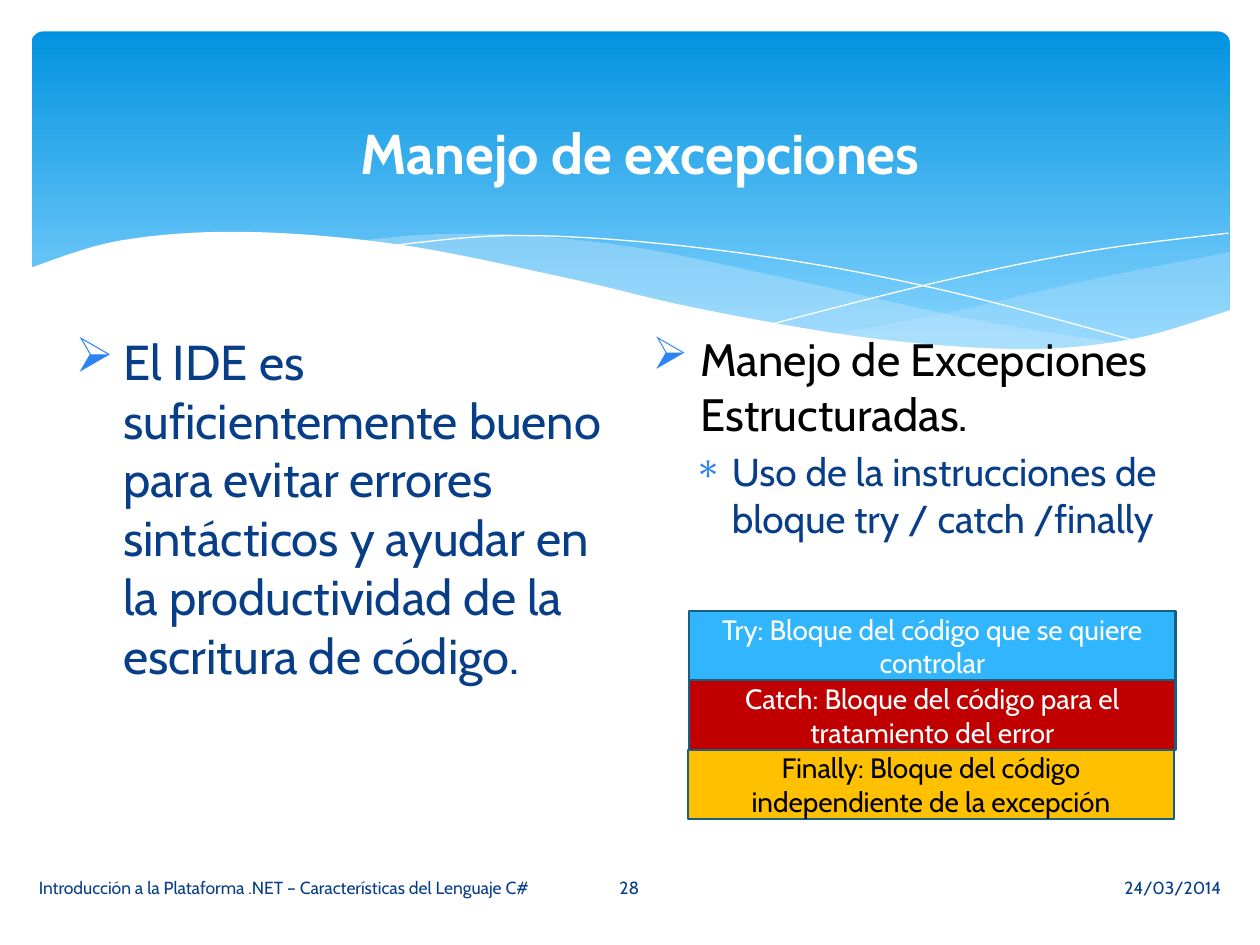
"""Build the slide on structured exception handling."""
from dataclasses import dataclass
from typing import Optional

import lxml.etree
import pptx
import pptx.dml.color
import pptx.enum.shapes
import pptx.enum.text
import pptx.oxml.ns
import pptx.util

Inches = pptx.util.Inches
Pt = pptx.util.Pt
Align = pptx.enum.text.PP_ALIGN
Anchor = pptx.enum.text.MSO_ANCHOR
Preset = pptx.enum.shapes.MSO_SHAPE
Points = list[tuple[float, float]]

FONT = "Cabin"
COLORS = {
    "sky_top": "0293E0", "sky_bottom": "83D3FE", "mist": "C6E7FC",
    "white": "FFFFFF", "black": "000000", "navy": "073E87",
    "bullet": "2D83F4", "edge": "195F84",
    "try": "31B6FD", "catch": "C00000", "finally": "FFC000",
}
CURVE_STEPS = 8


@dataclass
class Wave:
    edges: list[Points]
    fill: Optional[str] = None
    opacity: int = 100


@dataclass
class Bullet:
    text: str
    size: float
    color: str
    mark: str = "➢"
    margin: float = 0.38
    hang: float = 0.38


@dataclass
class Block:
    text: str
    left: float
    fill: str
    color: str


@dataclass
class Footer:
    text: str
    left: float
    width: float
    align: Align


WAVES = [
    Wave([[(9.76, 2), (8.61, 2.23), (7.53, 2.48), (6.61, 2.65)],
          [(6.61, 2.65), (7.45, 2.75), (8.14, 2.78), (8.89, 2.72), (9.76, 2.47)]],
         "mist", 29),
    Wave([[(8.93, 2.73), (7.75, 2.54), (6.29, 2.22), (5.14, 1.98), (4.2, 1.87),
           (3.44, 1.86), (2.86, 1.91)],
          [(2.86, 1.91), (4.49, 2.22), (6.34, 2.61), (7.85, 2.78), (8.93, 2.73)]],
         "mist", 40),
    Wave([[(3.09, 1.95), (4.01, 1.87), (5.1, 1.92), (6.36, 2.08), (7.6, 2.33),
           (9.07, 2.72)]]),
    Wave([[(6.13, 2.57), (7.48, 2.23), (8.66, 1.99), (9.75, 1.85)]]),
    Wave([[(9.77, 2.46), (8.99, 2.69), (8.09, 2.77), (6.88, 2.68), (5.55, 2.45),
           (4.47, 2.2), (3.16, 1.94), (1.93, 1.84), (0.95, 1.91), (0.23, 2.13)],
          [(0.23, 3.29), (9.77, 3.29)]], "white"),
]
IDE_BULLETS = [
    Bullet("El IDE es suficientemente bueno para evitar errores sintácticos y "
           "ayudar en la productividad de la escritura de código.", 28, "navy"),
]
HANDLING_BULLETS = [
    Bullet("Manejo de Excepciones Estructuradas.", 25.9, "black"),
    Bullet("Uso de la instrucciones de bloque try / catch /finally", 22.2, "navy",
           "∗", 0.63, 0.3),
]
BLOCKS = [
    Block("Try: Bloque del código que se quiere controlar", 5.47, "try", "white"),
    Block("Catch: Bloque del código para el tratamiento del error", 5.47, "catch", "white"),
    Block("Finally: Bloque del código independiente de la excepción", 5.46, "finally", "black"),
]
BLOCK_TOP, BLOCK_HEIGHT = 4.85, 0.55
FOOTERS = [
    Footer("Introducción a la Plataforma .NET – Características del Lenguaje C#",
           0.21, 4.14, Align.LEFT),
    Footer("28", 4.36, 1.27, Align.CENTER),
    Footer("24/03/2014", 5.65, 4.14, Align.RIGHT),
]


def rgb(name: str) -> pptx.dml.color.RGBColor:
    """Return the named colour."""
    return pptx.dml.color.RGBColor.from_string(COLORS[name])


def add_xml(parent, tag: str, **attributes: str):
    """Append a DrawingML child element."""
    return lxml.etree.SubElement(parent, pptx.oxml.ns.qn(tag), attributes)


def style_paragraph(paragraph, size: float, color: str, align: Align, bold: bool = False) -> None:
    """Align a paragraph and format its runs."""
    paragraph.alignment = align
    for run in paragraph.runs:
        run.font.name = FONT
        run.font.size = Pt(size)
        run.font.bold = bold
        run.font.color.rgb = rgb(color)


def write_line(shape, text: str, size: float, color: str, align: Align, bold: bool = False) -> None:
    """Put one vertically centred paragraph in a shape."""
    frame = shape.text_frame
    frame.text = text
    frame.word_wrap = True
    frame.auto_size = pptx.enum.text.MSO_AUTO_SIZE.NONE
    frame.vertical_anchor = Anchor.MIDDLE
    style_paragraph(frame.paragraphs[0], size, color, align, bold)


def add_sky(slide) -> None:
    """Draw the rounded gradient header."""
    sky = slide.shapes.add_shape(Preset.ROUNDED_RECTANGLE, Inches(0.25), Inches(0.25),
                                 Inches(9.51), Inches(2.7))
    sky.adjustments[0] = 0.034
    sky.shadow.inherit = False
    sky.line.fill.background()
    sky.fill.gradient()
    sky.fill.gradient_angle = 270
    for stop, color, position in zip(sky.fill.gradient_stops, ("sky_top", "sky_bottom"), (0, 0.9)):
        stop.color.rgb = rgb(color)
        stop.position = position


def spline(a: float, b: float, c: float, d: float, t: float) -> float:
    """Return the Catmull-Rom value between b and c."""
    return b + t / 2 * (c - a + t * (2 * a - 5 * b + 4 * c - d + t * (3 * (b - c) + d - a)))


def smooth(knots: Points) -> Points:
    """Return points along a smooth curve through the knots."""
    padded = [knots[0], *knots, knots[-1]]
    curve = [tuple(spline(*axis, step / CURVE_STEPS) for axis in zip(*window))
             for window in zip(padded, padded[1:], padded[2:], padded[3:])
             for step in range(CURVE_STEPS)]
    return [*curve, knots[-1]]


def add_wave(slide, wave: Wave) -> None:
    """Draw a filled wave, or a thin white curve when it has no fill."""
    outline = [(Inches(x), Inches(y)) for edge in wave.edges for x, y in smooth(edge)]
    builder = slide.shapes.build_freeform(*outline[0])
    builder.add_line_segments(outline[1:], close=wave.fill is not None)
    shape = builder.convert_to_shape()
    shape.shadow.inherit = False
    if wave.fill is None:
        shape.fill.background()
        shape.line.color.rgb = rgb("white")
        shape.line.width = Pt(0)
        return
    shape.line.fill.background()
    shape.fill.solid()
    shape.fill.fore_color.rgb = rgb(wave.fill)
    if wave.opacity < 100:
        color = shape.element.spPr.find(".//" + pptx.oxml.ns.qn("a:srgbClr"))
        add_xml(color, "a:alpha", val=str(wave.opacity * 1000))


def add_bullets(slide, left: float, height: float, bullets: list[Bullet]) -> None:
    """Add a column of bulleted paragraphs."""
    frame = slide.shapes.add_textbox(Inches(left), Inches(2.58), Inches(4.42),
                                     Inches(height)).text_frame
    frame.word_wrap = True
    frame.text = "\n".join(bullet.text for bullet in bullets)
    for level, (paragraph, bullet) in enumerate(zip(frame.paragraphs, bullets)):
        paragraph.level = level
        paragraph.space_before = Pt(round(bullet.size * 0.2, 1))
        style_paragraph(paragraph, bullet.size, bullet.color, Align.LEFT)
        properties = paragraph._p.get_or_add_pPr()
        properties.set("marL", str(Inches(bullet.margin)))
        properties.set("indent", str(-Inches(bullet.hang)))
        add_xml(add_xml(properties, "a:buClr"), "a:srgbClr", val=COLORS["bullet"])
        add_xml(properties, "a:buChar", char=bullet.mark)


def add_block(slide, block: Block, top: float) -> None:
    """Draw one block of the try, catch, finally stack."""
    shape = slide.shapes.add_shape(Preset.RECTANGLE, Inches(block.left), Inches(top),
                                   Inches(3.86), Inches(BLOCK_HEIGHT))
    shape.shadow.inherit = False
    shape.fill.solid()
    shape.fill.fore_color.rgb = rgb(block.fill)
    shape.line.color.rgb = rgb("edge")
    shape.line.width = Pt(1.25)
    write_line(shape, block.text, 16, block.color, Align.CENTER)


def add_footer(slide, footer: Footer) -> None:
    """Add one footer field."""
    field = slide.shapes.add_textbox(Inches(footer.left), Inches(6.84),
                                     Inches(footer.width), Inches(0.4))
    write_line(field, footer.text, 10, "navy", footer.align)


def place_title(slide) -> None:
    """Bring the title in front of the header and format it."""
    title = slide.shapes.title
    title.element.getparent().append(title.element)
    title.left, title.top, title.width, title.height = map(Inches, (0.58, 0.78, 9, 0.86))
    write_line(title, "Manejo de excepciones", 32, "white", Align.CENTER, True)


def main() -> None:
    """Build and save the presentation."""
    deck = pptx.Presentation()
    deck.slide_width, deck.slide_height = Inches(10), Inches(7.5)
    slide = deck.slides.add_slide(deck.slide_layouts[5])
    add_sky(slide)
    for wave in WAVES:
        add_wave(slide, wave)
    add_bullets(slide, 0.5, 4.12, IDE_BULLETS)
    add_bullets(slide, 5.08, 2.35, HANDLING_BULLETS)
    place_title(slide)
    for row, block in enumerate(BLOCKS):
        add_block(slide, block, BLOCK_TOP + row * BLOCK_HEIGHT)
    for footer in FOOTERS:
        add_footer(slide, footer)
    deck.save("out.pptx")


if __name__ == "__main__":
    main()
